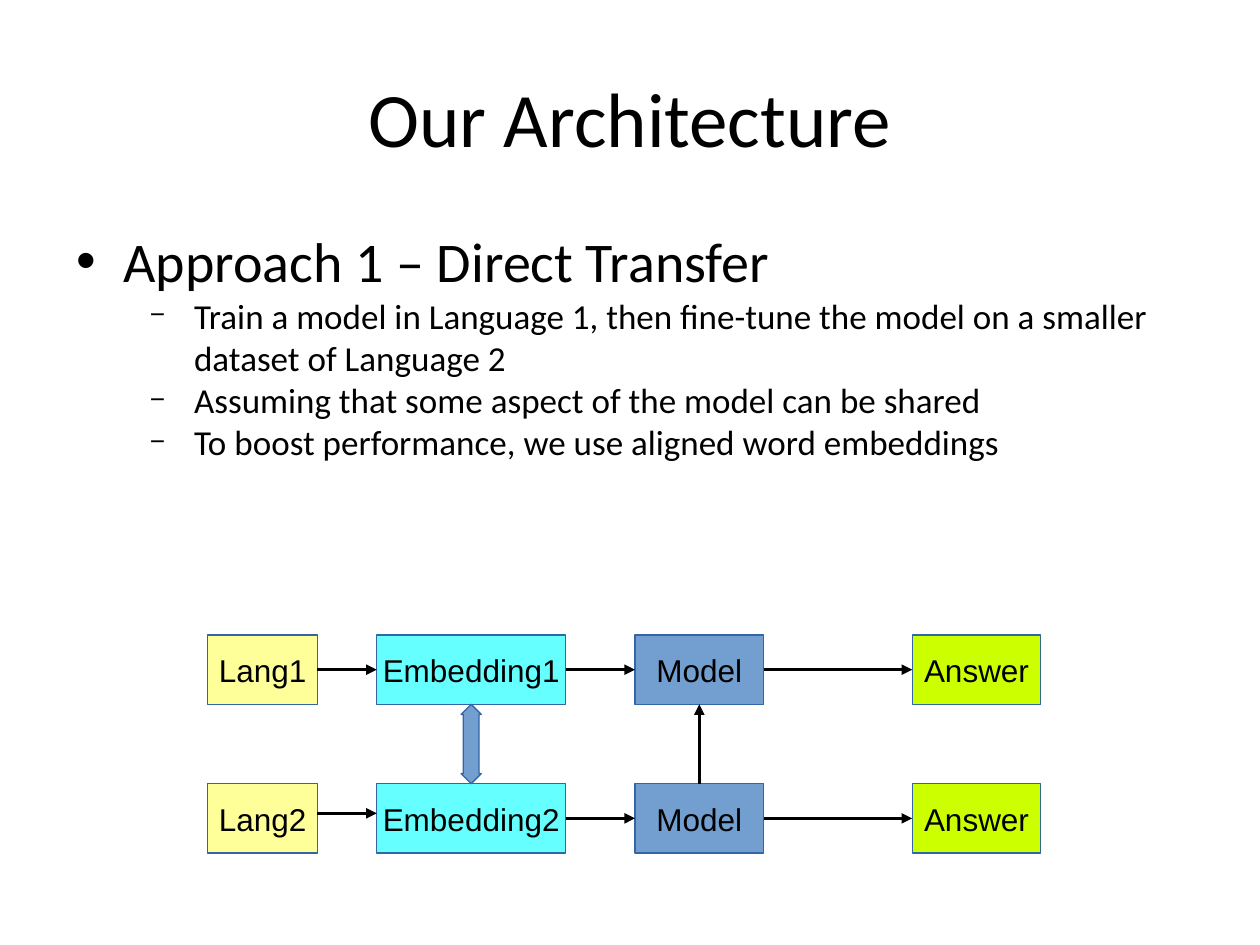
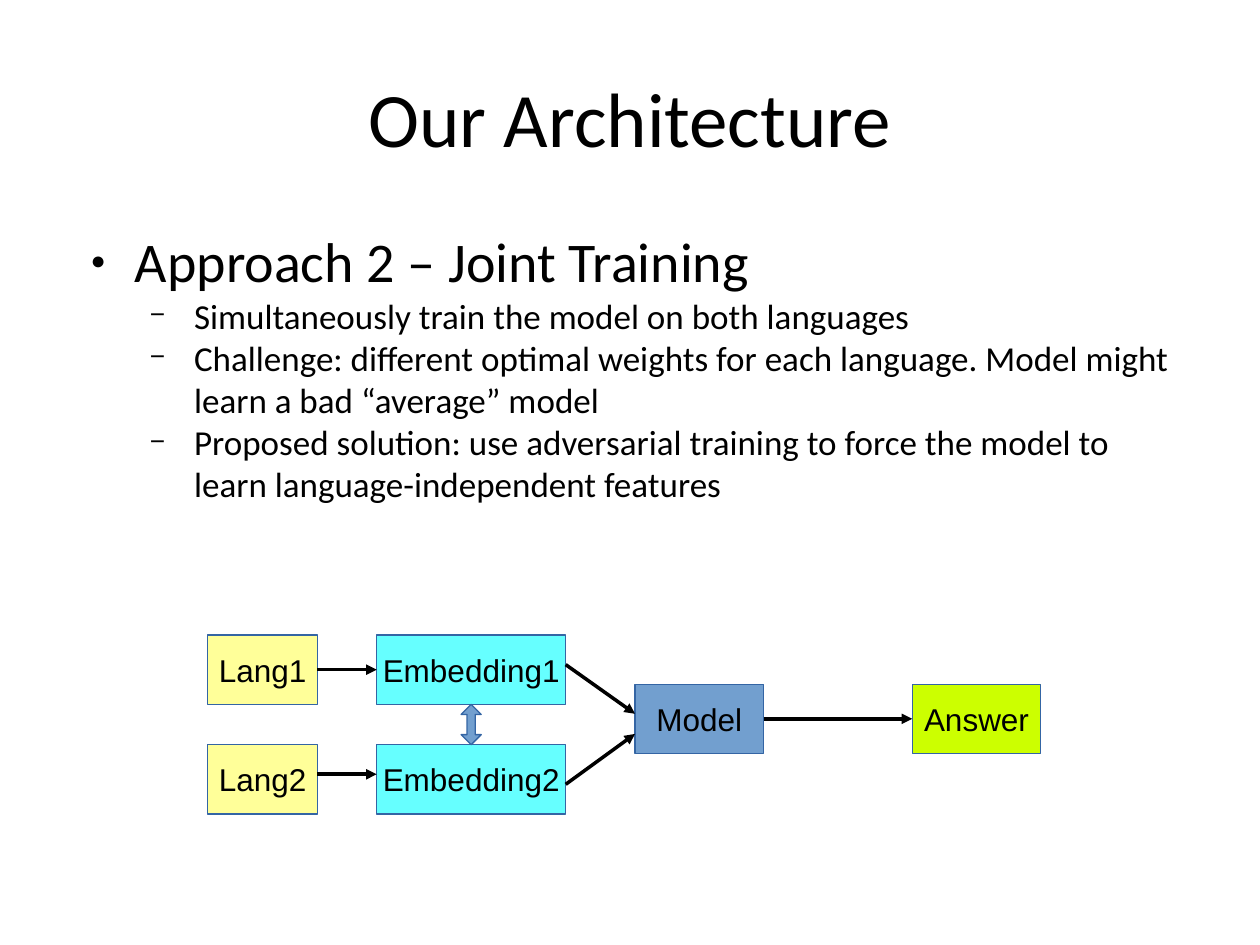
from collections import namedtuple

from lxml.etree import SubElement
from pptx import Presentation
from pptx.dml.color import RGBColor
from pptx.enum.shapes import MSO_CONNECTOR, MSO_SHAPE
from pptx.enum.text import MSO_ANCHOR, MSO_AUTO_SIZE, PP_ALIGN
from pptx.oxml.ns import qn
from pptx.util import Inches, Pt

Box = namedtuple("Box", "left top width height")
Column = namedtuple("Column", "offset width fill")
Bullet = namedtuple("Bullet", "char size margin indent")

BLACK, BLUE, OUTLINE = "000000", "729FCF", "3465A4"
TITLE_BOX = Box(0.5, 0.3, 9, 1.25)
BODY_BOX = Box(0.5, 1.75, 9, 4.95)
DIAGRAM_BOX = Box(1.65, 5.04, 6.61, 1.73)

LANGUAGE = Column(0, 0.87, "FFFF99")
EMBEDDING = Column(1.34, 1.5, "66FFFF")
MODEL = Column(3.39, 1.02, BLUE)
ANSWER = Column(5.59, 1.02, "CCFF00")
NODE_HEIGHT = 0.55
SWAP_WIDTH = 0.16
LANGUAGE_2_LIFT = 0.04

DASH = Bullet("−", 75, 0.94, -0.35)
SLIDE_TITLE = "Our Architecture"


def color(hex_string):
    return RGBColor.from_string(hex_string)


def place(shape, box):
    shape.left, shape.top, shape.width, shape.height = map(Inches, box)


def write(para, text, size, font="Calibri", align=PP_ALIGN.LEFT, fill=BLACK):
    para.alignment = align
    span = para.add_run()
    span.text = text
    span.font.size = Pt(size)
    span.font.name = font
    span.font.color.rgb = color(fill)


def set_bullet(para, bullet):
    properties = para._p.get_or_add_pPr()
    properties.set("marL", str(Inches(bullet.margin)))
    properties.set("indent", str(Inches(bullet.indent)))
    bullet_color = SubElement(properties, qn("a:buClr"))
    SubElement(bullet_color, qn("a:srgbClr"), val=BLACK)
    SubElement(properties, qn("a:buSzPct"), val=str(bullet.size * 1000))
    SubElement(properties, qn("a:buFont"), typeface="Arial")
    SubElement(properties, qn("a:buChar"), char=bullet.char)


def add_title(page, box):
    title = page.shapes.title
    place(title, box)
    frame = title.text_frame
    frame.auto_size = MSO_AUTO_SIZE.NONE
    frame.vertical_anchor = MSO_ANCHOR.MIDDLE
    write(frame.paragraphs[0], SLIDE_TITLE, 44, align=PP_ALIGN.CENTER)


def add_points(page, box, heading, heading_bullet, points):
    body = page.placeholders[1]
    place(body, box)
    frame = body.text_frame
    frame.auto_size = MSO_AUTO_SIZE.NONE
    lines = [(heading, 0, 32, heading_bullet)]
    lines += [(point, 1, 20, DASH) for point in points]
    for index, (text, level, size, bullet) in enumerate(lines):
        para = frame.add_paragraph() if index else frame.paragraphs[0]
        para.level = level
        para.space_before = para.space_after = Pt(0)
        set_bullet(para, bullet)
        write(para, text, size)


def add_filled_shape(page, kind, box, fill):
    shape = page.shapes.add_shape(kind, *map(Inches, box))
    shape.shadow.inherit = False
    shape.fill.solid()
    shape.fill.fore_color.rgb = color(fill)
    shape.line.color.rgb = color(OUTLINE)
    shape.line.width = Pt(0)
    return shape


def add_node(page, text, column, area, top):
    """Draw one labelled node and return its box."""
    box = Box(area.left + column.offset, area.top + top, column.width, NODE_HEIGHT)
    node = add_filled_shape(page, MSO_SHAPE.RECTANGLE, box, column.fill)
    frame = node.text_frame
    frame.word_wrap = False
    frame.vertical_anchor = MSO_ANCHOR.MIDDLE
    write(frame.paragraphs[0], text, 18, font="Arial", align=PP_ALIGN.CENTER)
    return box


def add_arrow(page, start, end):
    arrow = page.shapes.add_connector(
        MSO_CONNECTOR.STRAIGHT, *map(Inches, (*start, *end)))
    arrow.line.color.rgb = color(BLACK)
    arrow.line.width = Pt(0)
    SubElement(arrow.line._get_or_add_ln(), qn("a:tailEnd"), type="triangle")
    SubElement(arrow._element.spPr, qn("a:effectLst"))


def link(page, source, target, start_shift=0, end_shift=0):
    """Join the right side of one box to the left side of another."""
    middle = NODE_HEIGHT / 2
    add_arrow(page,
              (source.left + source.width, source.top + middle + start_shift),
              (target.left, target.top + middle + end_shift))


def add_inputs(page, area, row_gap):
    """Draw both languages with their aligned embeddings; return the embeddings."""
    embeddings = []
    for row in range(2):
        top = row * row_gap
        language = add_node(page, f"Lang{row + 1}", LANGUAGE, area, top)
        embedding = add_node(page, f"Embedding{row + 1}", EMBEDDING, area, top)
        lift = -LANGUAGE_2_LIFT * row
        link(page, language, embedding, lift, lift)
        embeddings.append(embedding)

    upper = embeddings[0]
    gap = row_gap - NODE_HEIGHT
    swap_box = Box(upper.left + (upper.width - SWAP_WIDTH) / 2,
                   upper.top + NODE_HEIGHT, SWAP_WIDTH, gap)
    swap = add_filled_shape(page, MSO_SHAPE.UP_DOWN_ARROW, swap_box, BLUE)
    swap.adjustments[0] = 0.5
    swap.adjustments[1] = 0.2 * gap / SWAP_WIDTH
    return embeddings


def add_transfer_diagram(page, area):
    row_gap = 1.18
    models = []
    for row, embedding in enumerate(add_inputs(page, area, row_gap)):
        model = add_node(page, "Model", MODEL, area, row * row_gap)
        answer = add_node(page, "Answer", ANSWER, area, row * row_gap)
        link(page, embedding, model)
        link(page, model, answer)
        models.append(model)
    upper, lower = models
    center = upper.left + upper.width / 2
    add_arrow(page, (center, lower.top), (center, upper.top + NODE_HEIGHT))


def add_joint_diagram(page, area):
    row_gap, shared_top = 0.87, 0.39
    embeddings = add_inputs(page, area, row_gap)
    model = add_node(page, "Model", MODEL, area, shared_top)
    answer = add_node(page, "Answer", ANSWER, area, shared_top)
    for embedding, start_shift, end_shift in zip(embeddings, (-0.04, 0.04), (-0.04, 0.12)):
        link(page, embedding, model, start_shift, end_shift)
    link(page, model, answer)


def add_approach(deck, heading, heading_bullet, points, add_diagram):
    page = deck.slides.add_slide(deck.slide_layouts[1])
    add_title(page, TITLE_BOX)
    add_points(page, BODY_BOX, heading, heading_bullet, points)
    add_diagram(page, DIAGRAM_BOX)


def main():
    deck = Presentation()
    deck.slide_width, deck.slide_height = Inches(10), Inches(7.5)
    add_approach(
        deck, "Approach 1 – Direct Transfer", Bullet("•", 100, 0.38, -0.37),
        ["Train a model in Language 1, then fine-tune the model on a smaller dataset of Language 2",
         "Assuming that some aspect of the model can be shared",
         "To boost performance, we use aligned word embeddings"],
        add_transfer_diagram)
    add_approach(
        deck, "Approach 2 – Joint Training", Bullet("●", 45, 0.47, -0.35),
        ["Simultaneously train the model on both languages",
         "Challenge: different optimal weights for each language. "
         "Model might learn a bad “average” model",
         "Proposed solution: use adversarial training to force the model "
         "to learn language-independent features"],
        add_joint_diagram)
    deck.save("out.pptx")


if __name__ == "__main__":
    main()
